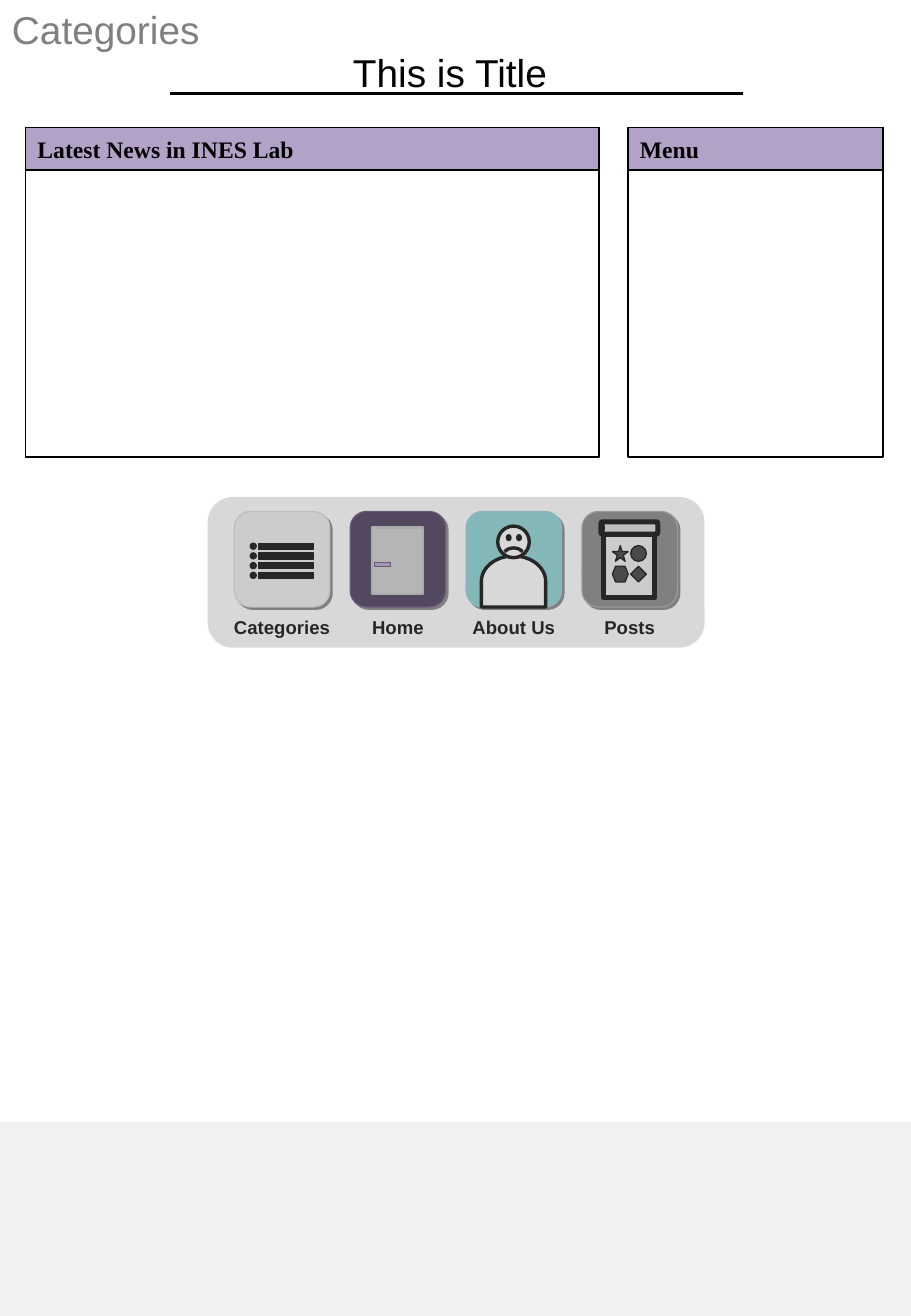
from dataclasses import dataclass

from lxml.etree import SubElement
from pptx import Presentation
from pptx.dml.color import RGBColor
from pptx.enum.shapes import MSO_CONNECTOR, MSO_SHAPE
from pptx.enum.text import MSO_ANCHOR, PP_ALIGN
from pptx.oxml.ns import qn
from pptx.util import Inches, Pt

# The page is a grid of square cells.
CELL = Inches(0.1)
COLUMNS, ROWS = 75, 108.3

BLACK = RGBColor(0x00, 0x00, 0x00)
WHITE = RGBColor(0xFF, 0xFF, 0xFF)
CHARCOAL = RGBColor(0x33, 0x33, 0x33)
GRAY = RGBColor(0x80, 0x80, 0x80)
MIDDLE_GRAY = RGBColor(0xA6, 0xA6, 0xA6)
SILVER = RGBColor(0xBF, 0xBF, 0xBF)
DOOR_GRAY = RGBColor(0xCC, 0xCC, 0xCC)
LIGHT_GRAY = RGBColor(0xD9, 0xD9, 0xD9)
LID_GRAY = RGBColor(0xDD, 0xDD, 0xDD)
PALE_GRAY = RGBColor(0xEE, 0xEE, 0xEE)
FOOTER_GRAY = RGBColor(0xF2, 0xF2, 0xF2)
LILAC = RGBColor(0xB3, 0xA2, 0xC7)
PURPLE = RGBColor(0x60, 0x4A, 0x7B)
DARK_PURPLE = RGBColor(0x40, 0x31, 0x52)
TEAL = RGBColor(0x87, 0xD1, 0xD1)
SKY = RGBColor(0x93, 0xCD, 0xDD)


@dataclass(frozen=True)
class Box:
    """A rectangle in grid cells."""
    left: float
    top: float
    width: float
    height: float

    def shifted(self, columns: float, rows: float) -> "Box":
        """Return the box moved across the grid."""
        return Box(self.left + columns, self.top + rows, self.width, self.height)

    def lengths(self) -> list[int]:
        """Return the box in slide units."""
        return [round(side * CELL) for side in
                (self.left, self.top, self.width, self.height)]


@dataclass(frozen=True)
class Piece:
    """One preset shape with its look."""
    kind: MSO_SHAPE
    box: Box
    fill: RGBColor | None = None
    line: RGBColor | None = BLACK
    weight: float = 0.75
    rotation: float = 0
    adjustments: tuple[float, ...] = ()


@dataclass(frozen=True)
class Button:
    """A labelled menu tile; its icon is placed from the tile's corner."""
    label: str
    fill: RGBColor
    line: RGBColor
    icon: list[Piece]


@dataclass(frozen=True)
class TextStyle:
    """Font and alignment of a paragraph."""
    size: float
    font: str = "Arial"
    color: RGBColor = BLACK
    bold: bool = False
    align: PP_ALIGN = PP_ALIGN.LEFT


def draw_piece(shapes, piece: Piece):
    """Add a preset shape and return it."""
    shape = shapes.add_shape(piece.kind, *piece.box.lengths())
    shape.shadow.inherit = False
    shape.rotation = piece.rotation
    for index, value in enumerate(piece.adjustments):
        shape.adjustments[index] = value
    if piece.fill is None:
        shape.fill.background()
    else:
        shape.fill.solid()
        shape.fill.fore_color.rgb = piece.fill
    if piece.line is None:
        shape.line.fill.background()
    else:
        shape.line.color.rgb = piece.line
        shape.line.width = Pt(piece.weight)
    return shape


def write(shape, text: str, style: TextStyle, anchor=MSO_ANCHOR.MIDDLE) -> None:
    """Put one styled paragraph into a shape."""
    frame = shape.text_frame
    frame.word_wrap = True
    frame.vertical_anchor = anchor
    para = frame.paragraphs[0]
    para.text = text
    para.alignment = style.align
    para.font.size = Pt(style.size)
    para.font.name = style.font
    para.font.bold = style.bold
    para.font.color.rgb = style.color


def add_label(shapes, box: Box, text: str, style: TextStyle):
    """Add a text box and return it."""
    label = shapes.add_textbox(*box.lengths())
    write(label, text, style, MSO_ANCHOR.TOP)
    return label


def add_hard_shadow(shape, color: RGBColor) -> None:
    """Give a shape a sharp shadow to the lower right."""
    effects = shape._element.spPr.find(qn("a:effectLst"))
    shadow = SubElement(effects, qn("a:outerShdw"), blurRad="0",
                        dist=str(int(Pt(2))), dir=str(45 * 60000))
    SubElement(shadow, qn("a:srgbClr"), val=str(color))


def set_opacity(shape, percent: int) -> None:
    """Make a solid fill see-through."""
    color = shape._element.spPr.find(qn("a:solidFill"))[0]
    SubElement(color, qn("a:alpha"), val=str(percent * 1000))


def draw_panel(shapes, box: Box, heading: str) -> None:
    """Draw an outlined panel with a heading bar."""
    draw_piece(shapes, Piece(MSO_SHAPE.RECTANGLE, box, weight=1))
    bar_box = Box(box.left, box.top, box.width, 3.5)
    bar = draw_piece(shapes, Piece(MSO_SHAPE.RECTANGLE, bar_box, LILAC, weight=1))
    write(bar, heading, HEADING)


def draw_button(shapes, button: Button, left: float) -> None:
    """Draw a tile, its icon and its label."""
    tile_box = Box(left, TILE_TOP, TILE, TILE)
    tile = draw_piece(shapes, Piece(MSO_SHAPE.ROUNDED_RECTANGLE, tile_box, button.fill,
                                    button.line, adjustments=(0.17,)))
    add_hard_shadow(tile, GRAY)
    for piece in button.icon:
        draw_piece(shapes, Piece(piece.kind, piece.box.shifted(left, TILE_TOP), piece.fill,
                                 piece.line, piece.weight, piece.rotation,
                                 piece.adjustments))
    label_box = Box(left + (TILE - LABEL_WIDTH) / 2, TILE_TOP + 8.15, LABEL_WIDTH, 2.7)
    frame = add_label(shapes, label_box, button.label, LABEL).text_frame
    frame.margin_left = frame.margin_right = Inches(0.07)
    frame.margin_top = frame.margin_bottom = Inches(0.04)


TITLE = TextStyle(23, align=PP_ALIGN.CENTER)
CORNER = TextStyle(23, color=GRAY)
HEADING = TextStyle(14, "Times New Roman", bold=True)
LABEL = TextStyle(11, bold=True, align=PP_ALIGN.CENTER)

TILE, TILE_TOP, TILE_PITCH, FIRST_TILE = 7.85, 42.1, 9.54, 19.3
LABEL_WIDTH = 10.7

LIST_ICON = [
    Piece(kind, Box(left, 2.6 + 0.8 * row, width, 0.5), BLACK)
    for row in range(4)
    for kind, left, width in ((MSO_SHAPE.OVAL, 1.3, 0.5), (MSO_SHAPE.RECTANGLE, 2, 4.5))
]
DOOR_ICON = [
    Piece(MSO_SHAPE.RECTANGLE, Box(1.8, 1.3, 4.2, 5.5), DOOR_GRAY, SILVER, 1.5),
    Piece(MSO_SHAPE.RECTANGLE, Box(2, 4.2, 1.3, 0.3), LILAC, PURPLE),
]
PERSON_ICON = [
    Piece(MSO_SHAPE.FLOWCHART_DELAY, Box(1.8, 3.1, 4.2, 5.3), WHITE, weight=2, rotation=270),
    Piece(MSO_SHAPE.FLOWCHART_CONNECTOR, Box(2.6, 1.2, 2.6, 2.6), WHITE, weight=2),
    *(Piece(MSO_SHAPE.FLOWCHART_CONNECTOR, Box(left, 2, 0.2, 0.3), SILVER, weight=2)
      for left in (3.4, 4.25)),
    Piece(MSO_SHAPE.ARC, Box(2.95, 3, 1.9, 1.6), weight=2, adjustments=(128.02, 195.96)),
]
JAR_ICON = [
    Piece(MSO_SHAPE.RECTANGLE, Box(1.8, 1.9, 4.2, 5.2), PALE_GRAY, weight=3),
    Piece(MSO_SHAPE.CAN, Box(3.4, -1, 1, 4.7), LID_GRAY, weight=3, rotation=270,
          adjustments=(0.12,)),
    *(Piece(kind, Box(left, top, 1.3, 1.3), CHARCOAL) for kind, left, top in (
        (MSO_SHAPE.STAR_5_POINT, 2.5, 2.8),
        (MSO_SHAPE.FLOWCHART_CONNECTOR, 4, 2.8),
        (MSO_SHAPE.FLOWCHART_PREPARATION, 2.5, 4.5),
        (MSO_SHAPE.FLOWCHART_DECISION, 4, 4.5))),
]
BUTTONS = [Button("Categories", PALE_GRAY, LIGHT_GRAY, LIST_ICON),
           Button("Home", DARK_PURPLE, PURPLE, DOOR_ICON),
           Button("About Us", TEAL, SKY, PERSON_ICON),
           Button("Posts", GRAY, MIDDLE_GRAY, JAR_ICON)]

deck = Presentation()
deck.slide_width, deck.slide_height = round(COLUMNS * CELL), round(ROWS * CELL)
page = deck.slides.add_slide(deck.slide_layouts[6])
title = draw_piece(page.shapes, Piece(MSO_SHAPE.RECTANGLE, Box(13.9, 2.7, 47.2, 6.5),
                                      line=WHITE, weight=2))
write(title, "This is Title ", TITLE)
draw_panel(page.shapes, Box(2.1, 10.5, 47.2, 27.1), "Latest News in INES Lab")
draw_panel(page.shapes, Box(51.7, 10.5, 21, 27.1), "Menu")

left, top, width, _ = Box(14, 7.7, 47.2, 0).lengths()
underline = page.shapes.add_connector(MSO_CONNECTOR.STRAIGHT, left, top, left + width, top)
underline.line.color.rgb = BLACK
underline.line.width = Pt(2)
SubElement(underline._element.spPr, qn("a:effectLst"))

menu = page.shapes.add_group_shape().shapes
for position, button in enumerate(BUTTONS):
    draw_button(menu, button, FIRST_TILE + position * TILE_PITCH)
veil = draw_piece(menu, Piece(MSO_SHAPE.ROUNDED_RECTANGLE, Box(17.1, 40.9, 40.9, 12.4),
                              GRAY, None))
set_opacity(veil, 30)

add_label(page.shapes, Box(0, 0, 17.9, 4.9), "Categories", CORNER)
draw_piece(page.shapes, Piece(MSO_SHAPE.RECTANGLE, Box(0, 92.5, COLUMNS, 15.7),
                              FOOTER_GRAY, FOOTER_GRAY, 2))
deck.save("out.pptx")
